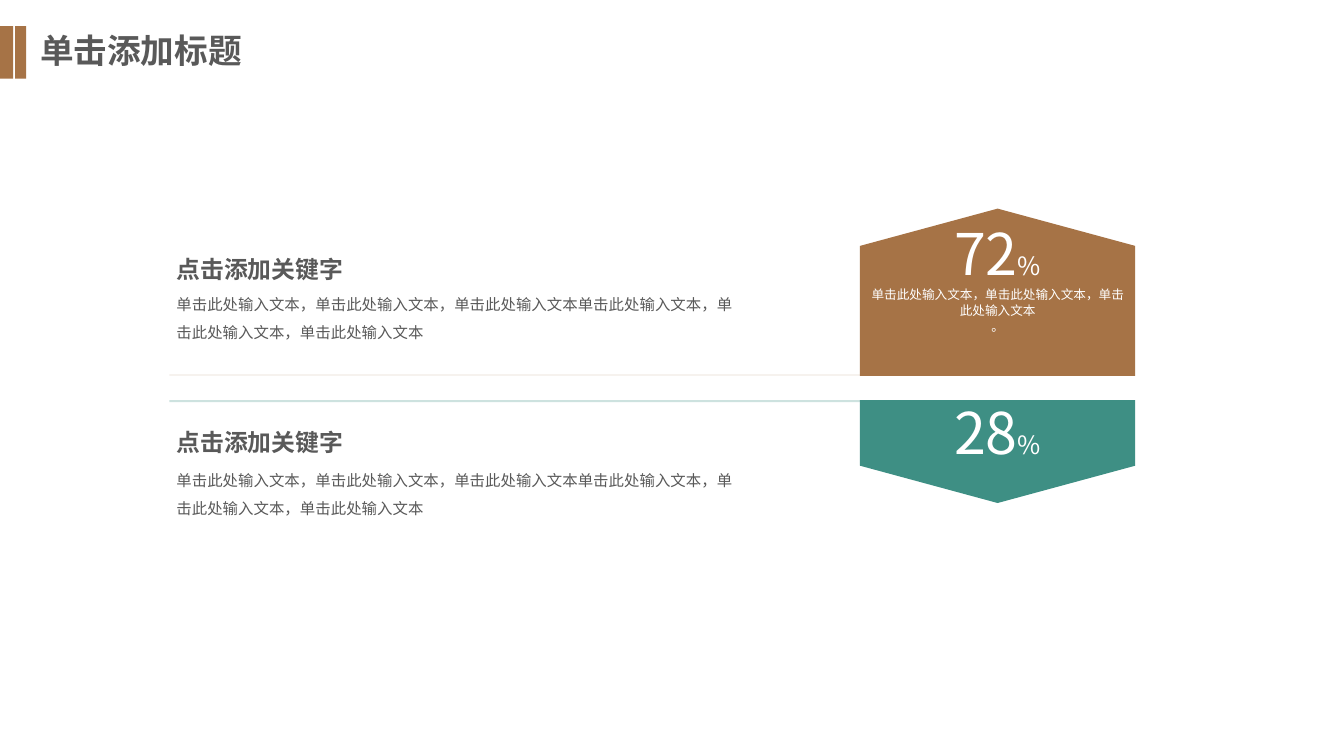
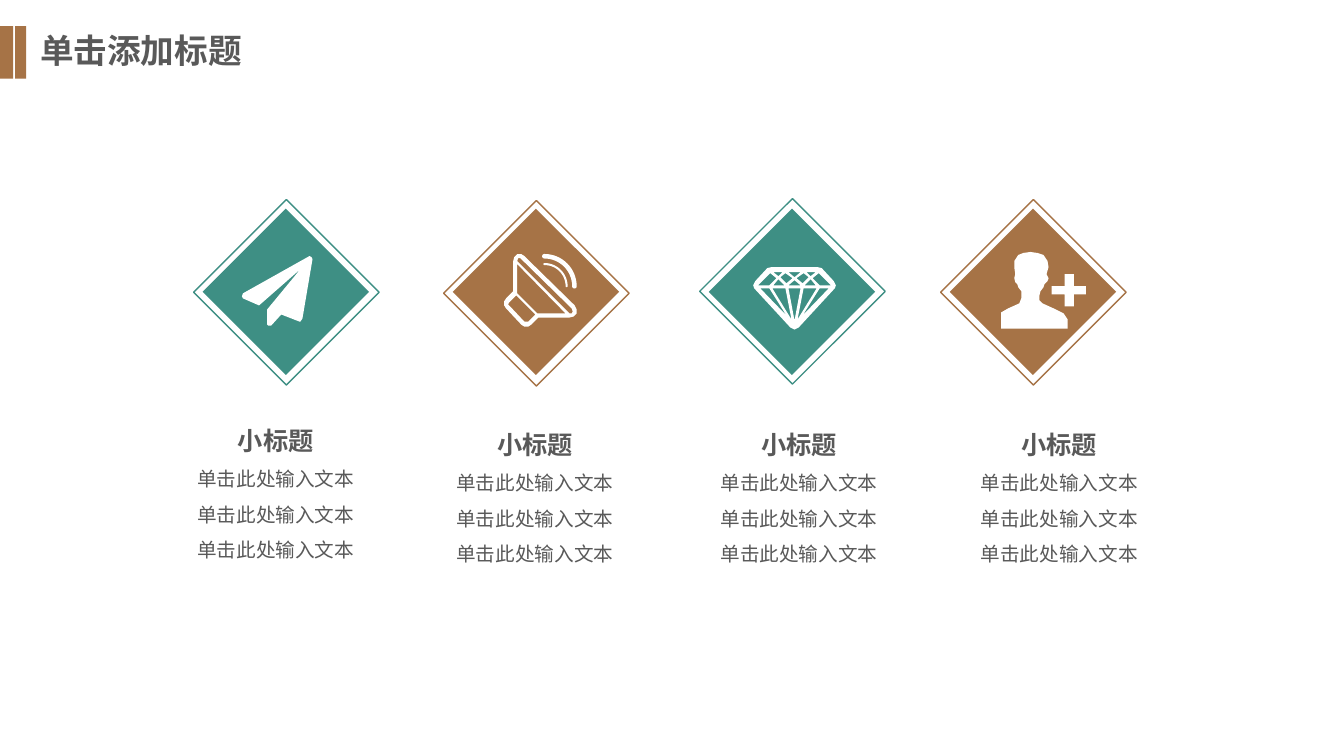
import math

import pptx
import pptx.dml.color
import pptx.enum.dml
import pptx.enum.shapes
import pptx.enum.text
import pptx.oxml.ns
import pptx.util
from lxml import etree

Inches = pptx.util.Inches
Pt = pptx.util.Pt
KIND = pptx.enum.shapes.MSO_SHAPE
FIT = pptx.enum.text.MSO_AUTO_SIZE
ALIGN = pptx.enum.text.PP_ALIGN
qn = pptx.oxml.ns.qn

FONT = "Noto Sans CJK SC"
BROWN, TEAL, GREY, WHITE = "A67346", "3E8F84", "595959", "FFFFFF"
SNUG = (0.07, 0.04, 0.07, 0.04)
PHRASE = "单击此处输入文本"
LONG = "，".join([PHRASE] * 2 + [PHRASE * 2] + [PHRASE] * 2)


def paint(target, color):
    target.solid()
    target.fore_color.rgb = pptx.dml.color.RGBColor.from_string(color)


def write(frame, paras, color=GREY, align=ALIGN.LEFT, line=None,
          inset=(0.1, 0.05, 0.1, 0.05), fit=FIT.SHAPE_TO_FIT_TEXT):
    frame.word_wrap = True
    frame.auto_size = fit
    frame.vertical_anchor = pptx.enum.text.MSO_ANCHOR.TOP
    (frame.margin_left, frame.margin_top,
     frame.margin_right, frame.margin_bottom) = map(Inches, inset)
    for index, runs in enumerate(paras):
        para = frame.add_paragraph() if index else frame.paragraphs[0]
        para.alignment = align
        para.line_spacing = line
        for words, size, bold in runs:
            run = para.add_run()
            run.text = words
            run.font.size = Pt(size)
            run.font.bold = bold
            run.font.name = FONT
            paint(run.font.fill, color)
            east = etree.SubElement(run.font._element, qn("a:ea"))
            east.set("typeface", FONT)


def label(slide, box, paras, **style):
    shape = slide.shapes.add_textbox(*map(Inches, box))
    write(shape.text_frame, paras, **style)


def finish(shape, fill=None, line=None):
    shape.shadow.inherit = False
    if fill:
        paint(shape.fill, fill)
    else:
        shape.fill.background()
    if line:
        paint(shape.line.fill, line)
        shape.line.width = Pt(1)
    else:
        shape.line.fill.background()
    return shape


def block(shapes, kind, box, **style):
    return finish(shapes.add_shape(kind, *map(Inches, box)), **style)


def outline(shapes, left, top, rings, fill, unit=0.01):
    rings = [[(Inches(left + x * unit), Inches(top + y * unit))
              for x, y in ring] for ring in rings]
    pen = shapes.build_freeform(*rings[0][0], scale=1.0)
    for index, ring in enumerate(rings):
        if index:
            pen.move_to(*ring[0])
        pen.add_line_segments(ring[1:], close=True)
    return finish(pen.convert_to_shape(), fill=fill)


def rule(slide, left, right, y, color, width):
    line = slide.shapes.add_connector(
        pptx.enum.shapes.MSO_CONNECTOR.STRAIGHT,
        *map(Inches, (right, y, left, y)))
    paint(line.line.fill, color)
    line.line.width = Pt(width)
    props = line._element.spPr
    hue = props.find(".//" + qn("a:srgbClr"))
    etree.SubElement(hue, qn("a:alpha")).set("val", "25000")
    etree.SubElement(props, qn("a:effectLst"))


def header(deck):
    slide = deck.slides.add_slide(deck.slide_layouts[6])
    label(slide, (0.3, 0.25, 3.3, 0.53), [[("单击添加标题", 24, True)]])
    for left, width in ((0, 0.13), (0.15, 0.11)):
        block(slide.shapes, KIND.RECTANGLE, (left, 0.26, width, 0.52),
              fill=BROWN)
    return slide


def entry(slide, left, top, drop, height):
    label(slide, (left, top, 3.07, 0.38), [[("点击添加关键字", 17, True)]],
          inset=SNUG)
    label(slide, (left, top + drop, 5.78, height), [[(LONG, 11, False)]],
          inset=SNUG, line=1.5)


def badge(slide, box, color, up, inset, value, notes=()):
    left, top, width, height = box
    edge = [(0, 0.37), (width / 2, 0), (width, 0.37),
            (width, height), (0, height)]
    if not up:
        edge = [(x, height - y) for x, y in edge]
    shape = outline(slide.shapes, left, top, [edge], color, unit=1)
    paras = [[(value, 41, False), ("%", 18, False)]]
    paras += [[(note, 9, False)] for note in notes]
    write(shape.text_frame, paras, color=WHITE, align=ALIGN.CENTER,
          line=Pt(11.2), inset=(0.07, inset, 0.07, 0.04), fit=FIT.NONE)


def shares(deck):
    slide = header(deck)
    left, edge, width = 1.68, 8.53, 2.73
    badge(slide, (edge, 2.07, width, 1.66), BROWN, True, 0.62, "72",
          ["，".join([PHRASE] * 3), "。"])
    badge(slide, (edge, 3.97, width, 1.02), TEAL, False, 0.5, "28")
    rule(slide, left, edge, 3.72, BROWN, 0.5)
    rule(slide, left, edge, 3.98, TEAL, 1.5)
    entry(slide, left, 2.49, 0.31, 0.62)
    entry(slide, left, 4.2, 0.34, 0.9)


def arc(x, y, radius, start, stop, steps=16):
    turns = [math.radians(start + (stop - start) * i / steps)
             for i in range(steps + 1)]
    return [(x + radius * math.cos(t), y + radius * math.sin(t))
            for t in turns]


def wave(x, y, outer, inner):
    mid, cap = (outer + inner) / 2, (outer - inner) / 2
    return (arc(x, y, outer, -90, 0) + arc(x + mid, y, cap, 0, 180)
            + arc(x, y, inner, 0, -90) + arc(x, y - mid, cap, 90, 270))


def plane(shapes, left, top):
    ring = [(70, 3), (60, 62), (58, 65), (57, 65), (39, 58), (29, 69),
            (26, 69), (25, 68), (25, 53), (58, 13), (17, 49), (1, 42),
            (0, 40), (1, 37), (67, 0), (69, 1)]
    outline(shapes, left + 0.48, top + 0.56, [ring], WHITE)


def sound(shapes, left, top):
    body = [(21, 2), (18, 0), (14, 0), (11, 3), (10, 7), (10, 37), (3, 44),
            (1, 47), (1, 51), (3, 54), (18, 70), (21, 72), (25, 72),
            (28, 70), (35, 63), (66, 63), (70, 62), (73, 59), (73, 55),
            (71, 51)]
    back = [(32, 60), (25, 67), (23, 67), (21, 67), (6, 51), (5, 50),
            (6, 48), (13, 41)]
    cone = [(35, 59), (34, 59), (14, 39), (14, 10), (62, 59)]
    rim = [(69, 57), (68, 59), (66, 59), (14, 7), (15, 4), (17, 4),
           (18, 5), (68, 54)]
    group = shapes.add_group_shape().shapes
    for rings in ([body, back, cone, rim], [wave(41, 32, 23, 21)],
                  [wave(41, 32, 32, 27.5)]):
        outline(group, left + 0.59, top + 0.53, rings, WHITE)


def gem(shapes, left, top):
    rim = [(80, 14), (68, 1), (64, 0), (18, 0), (14, 1), (2, 14), (0, 18),
           (1, 21), (37, 60), (41, 62), (45, 60), (81, 21), (82, 18)]
    mid = [[(47, 5), (41, 10), (35, 5)], [(47, 18), (35, 18), (41, 13)],
           [(35, 21), (47, 21), (41, 53)]]
    half = [[(62, 5), (57, 9), (53, 5)], [(62, 18), (51, 18), (57, 12)],
            [(55, 10), (49, 16), (43, 11), (50, 6)],
            [(66, 18), (59, 11), (65, 6), (77, 18)],
            [(44, 52), (50, 21), (63, 21)], [(49, 48), (66, 21), (75, 21)]]
    twin = [[(82 - x, y) for x, y in ring] for ring in half]
    outline(shapes, left + 0.53, top + 0.68, [rim] + mid + half + twin, WHITE)


def user(shapes, left, top):
    bust = [(52, 56), (41, 51), (38, 48), (38, 43), (39, 39), (42, 35),
            (43, 32), (46, 29), (47, 26), (45, 22), (47, 15), (46, 9),
            (42, 3), (36, 1), (29, 0), (22, 1), (17, 3), (13, 9), (13, 15),
            (14, 22), (13, 26), (14, 30), (16, 32), (17, 35), (20, 39),
            (20, 46), (18, 51), (7, 56), (0, 60), (0, 76), (66, 76),
            (66, 67), (62, 61)]
    plus = [(72, 34), (72, 22), (63, 22), (63, 34), (50, 34), (50, 42),
            (63, 42), (63, 54), (72, 54), (72, 42), (84, 42), (84, 34)]
    outline(shapes, left + 0.6, top + 0.52, [bust, plus], WHITE)


def tile(slide, left, top, color, icon):
    group = slide.shapes.add_group_shape().shapes
    block(group, KIND.DIAMOND, (left + 0.09, 2.07, 1.65, 1.65), fill=color)
    block(group, KIND.DIAMOND, (left, top, 1.84, 1.84), line=color)
    icon(slide.shapes, left, top)


def topics(deck):
    slide = header(deck)
    paras = [[("小标题", 18, True)]] + [[(PHRASE, 14, False)]] * 3
    for left, top, color, icon, text, base in (
            (1.92, 1.98, TEAL, plane, 1.73, 4.02),
            (4.4, 1.99, BROWN, sound, 4.3, 4.06),
            (6.94, 1.97, TEAL, gem, 6.92, 4.06),
            (9.33, 1.98, BROWN, user, 9.5, 4.06)):
        tile(slide, left, top, color, icon)
        label(slide, (text, base, 2.01, 1.95), paras, align=ALIGN.CENTER,
              line=1.5)


def main():
    deck = pptx.Presentation()
    deck.slide_width, deck.slide_height = Inches(13.33), Inches(7.5)
    shares(deck)
    topics(deck)
    deck.save("out.pptx")


if __name__ == "__main__":
    main()
